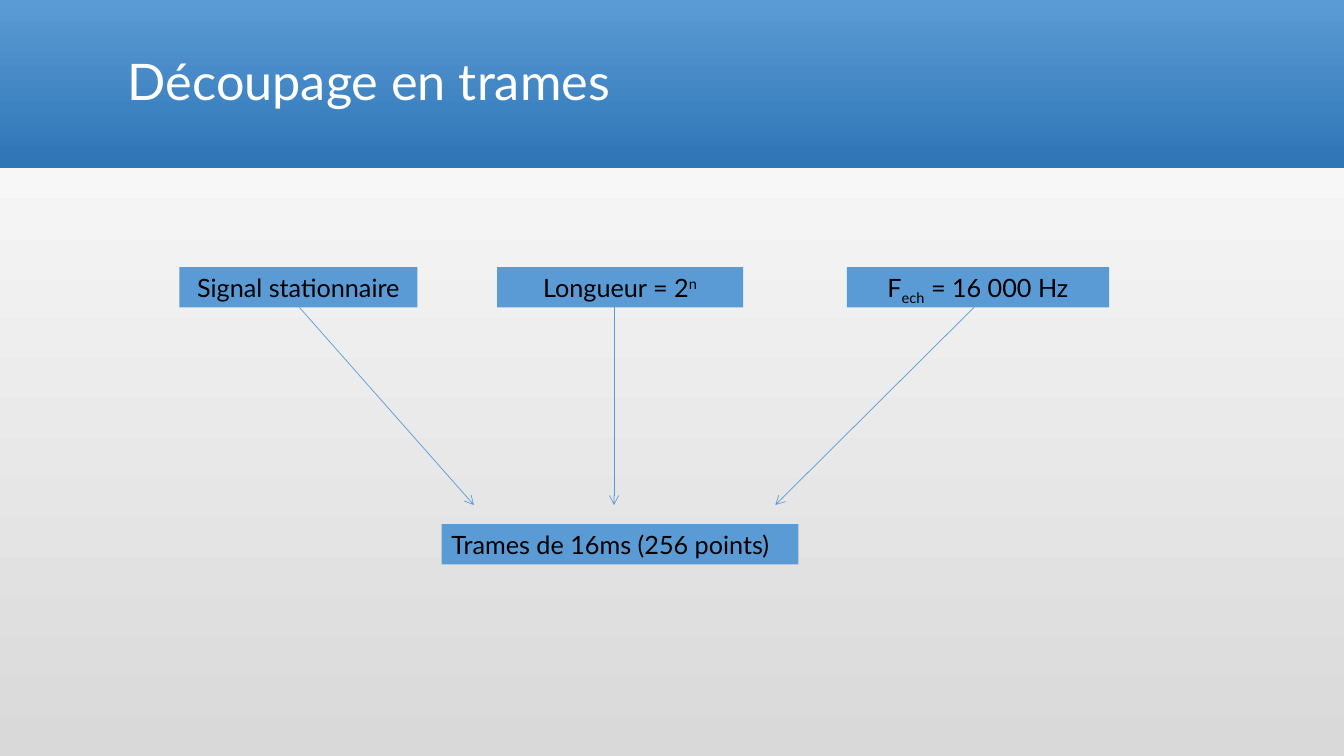
from lxml.etree import SubElement
from pptx import Presentation
from pptx.dml.color import RGBColor
from pptx.enum.shapes import MSO_CONNECTOR, MSO_SHAPE
from pptx.enum.text import MSO_ANCHOR, MSO_AUTO_SIZE, PP_ALIGN
from pptx.oxml.ns import qn
from pptx.util import Inches, Pt

BLUE = RGBColor(0x5B, 0x9B, 0xD5)
DARK_BLUE = RGBColor(0x2E, 0x75, 0xB6)
GREY = RGBColor(0xD9, 0xD9, 0xD9)
WHITE = RGBColor(0xFF, 0xFF, 0xFF)
BLACK = RGBColor(0x00, 0x00, 0x00)

SLIDE_WIDTH, SLIDE_HEIGHT = 13.33, 7.5
BOX_HEIGHT = 0.4
CONDITION_TOP, RESULT_TOP = 2.65, 5.2
ARROW_END = 5.01
SUBSCRIPT, SUPERSCRIPT = -25, 30

# Left, width, (text, baseline shift in percent) runs, arrow start and end
CONDITIONS = [
    (1.78, 2.36, [("Signal stationnaire", 0)], 2.97, 4.7),
    (4.93, 2.44, [("Longueur = 2", 0), ("n", SUPERSCRIPT)], 6.09, 6.09),
    (8.4, 2.6, [("F", 0), ("ech", SUBSCRIPT), (" = 16 000 Hz", 0)], 9.66, 7.69),
]


class DiagramSlide:
    font_name = "Lato"

    def __init__(self, presentation):
        self.slide = presentation.slides.add_slide(presentation.slide_layouts[6])
        self.shapes = self.slide.shapes

    def fill_downward(self, fill, top_color, bottom_color):
        """Fill with a gradient that runs from top to bottom."""
        fill.gradient()
        fill.gradient_angle = 270
        for stop, color in zip(fill.gradient_stops, (top_color, bottom_color)):
            stop.color.rgb = color

    def background(self, top_color, bottom_color):
        self.fill_downward(self.slide.background.fill, top_color, bottom_color)

    def banner(self, height, top_color, bottom_color):
        shape = self.shapes.add_shape(
            MSO_SHAPE.RECTANGLE, 0, 0, Inches(SLIDE_WIDTH), Inches(height))
        shape.shadow.inherit = False
        shape.line.fill.background()
        self.fill_downward(shape.fill, top_color, bottom_color)

    def text(self, left, top, width, height, runs, size, color, alignment):
        shape = self.shapes.add_textbox(
            Inches(left), Inches(top), Inches(width), Inches(height))
        shape.text_frame.word_wrap = True
        paragraph = shape.text_frame.paragraphs[0]
        paragraph.alignment = alignment
        for content, baseline in runs:
            run = paragraph.add_run()
            run.text = content
            run.font.name = self.font_name
            run.font.size = Pt(size)
            run.font.color.rgb = color
            if baseline:
                run._r.get_or_add_rPr().set("baseline", str(baseline * 1000))
        return shape

    def title(self, content):
        shape = self.text(1.17, 0.11, 11, 1.45, [(content, 0)], 36, WHITE, PP_ALIGN.LEFT)
        shape.text_frame.vertical_anchor = MSO_ANCHOR.MIDDLE
        shape.text_frame.paragraphs[0].line_spacing = 0.9

    def box(self, left, top, width, runs, alignment=PP_ALIGN.CENTER):
        shape = self.text(left, top, width, BOX_HEIGHT, runs, 18, BLACK, alignment)
        shape.text_frame.auto_size = MSO_AUTO_SIZE.SHAPE_TO_FIT_TEXT
        shape.fill.solid()
        shape.fill.fore_color.rgb = BLUE

    def arrow(self, start_x, start_y, end_x, end_y):
        connector = self.shapes.add_connector(
            MSO_CONNECTOR.STRAIGHT,
            Inches(start_x), Inches(start_y), Inches(end_x), Inches(end_y))
        connector.line.color.rgb = BLUE
        connector.line.width = Pt(0.5)
        SubElement(connector.line._get_or_add_ln(), qn("a:tailEnd"), type="arrow")
        SubElement(connector._element.spPr, qn("a:effectLst"))


def main():
    presentation = Presentation()
    presentation.slide_width = Inches(SLIDE_WIDTH)
    presentation.slide_height = Inches(SLIDE_HEIGHT)

    diagram = DiagramSlide(presentation)
    diagram.background(WHITE, GREY)
    diagram.banner(1.67, BLUE, DARK_BLUE)
    diagram.title("Découpage en trames")

    for left, width, runs, start_x, end_x in CONDITIONS:
        diagram.box(left, CONDITION_TOP, width, runs)
        diagram.arrow(start_x, CONDITION_TOP + BOX_HEIGHT, end_x, ARROW_END)
    diagram.box(4.38, RESULT_TOP, 3.54, [("Trames de 16ms (256 points)", 0)], PP_ALIGN.LEFT)

    presentation.save("out.pptx")


if __name__ == "__main__":
    main()
